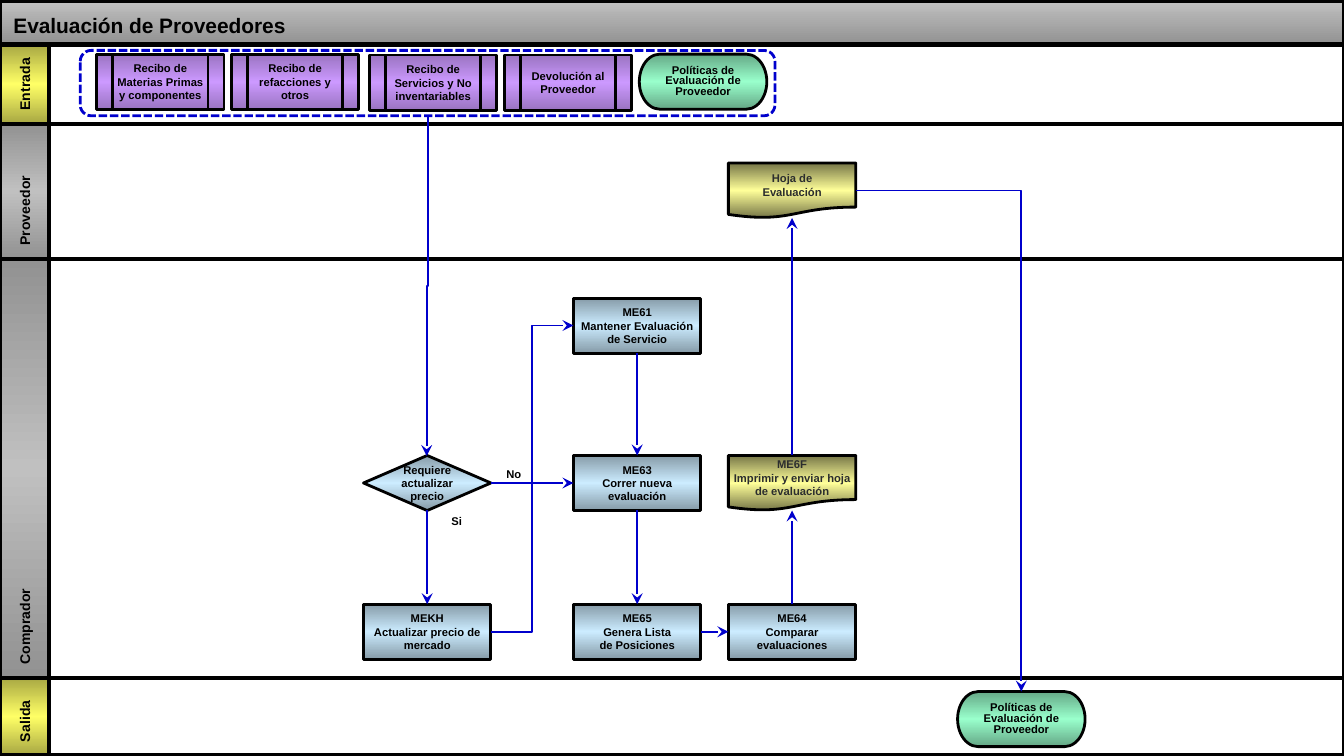
import copy

import pptx
import pptx.dml.color
import pptx.enum.dml
import pptx.enum.shapes
import pptx.enum.text
import pptx.oxml.ns
import pptx.oxml.xmlchemy
import pptx.util
from lxml import etree

Pt = pptx.util.Pt
qn = pptx.oxml.ns.qn
KIND = pptx.enum.shapes.MSO_SHAPE
LINK = pptx.enum.shapes.MSO_CONNECTOR
ALIGN = pptx.enum.text.PP_ALIGN
ANCHOR = pptx.enum.text.MSO_ANCHOR
FIT = pptx.enum.text.MSO_AUTO_SIZE

COLORS = {
    "page": "F2F2F2", "white": "FFFFFF", "black": "000000",
    "flow": "0000CC", "document_text": "2B2D2E",
}
RAMPS = {
    "title": ("C0C0C0", "929292"),
    "gray": ("929292", "C0C0C0", "929292"),
    "yellow": ("A8A843", "FFFF66", "A8A843"),
    "step": ("869BA8", "CCECFF", "869BA8"),
    "document": ("767647", "FFFF99", "767647"),
    "process": ("9A74C1", "CC99FF", "9A74C1"),
    "policy": ("65A886", "99FFCC", "65A886"),
}
WIDTH, HEIGHT = 720, 405
LABEL_WIDTH = 26.3
STEP_WIDTH, STEP_HEIGHT = 68.3, 29.5
POLICY = "Políticas de Evaluación de Proveedor"


def rgb(name):
    return pptx.dml.color.RGBColor.from_string(COLORS.get(name, name))


def fill_ramp(shape, stops):
    """Vertical gradient with evenly spaced stops."""
    shape.fill.gradient()
    shape.fill.gradient_angle = 270
    stop_list = shape.fill.gradient_stops
    if len(stops) == 3:
        first = shape.element.spPr.find(".//" + qn("a:gs"))
        first.addnext(copy.deepcopy(first))
        stop_list = shape.fill.gradient_stops
    for i, (stop, color) in enumerate(zip(stop_list, stops)):
        stop.color.rgb = rgb(color)
        stop.position = i / (len(stops) - 1)


def add_block(slide, box, kind=KIND.RECTANGLE, ramp=None, line="black", weight=2):
    block = slide.shapes.add_shape(kind, *map(Pt, box))
    block.shadow.inherit = False
    if ramp:
        fill_ramp(block, RAMPS[ramp])
    block.line.color.rgb = rgb(line)
    block.line.width = Pt(weight)
    return block


def write(frame, lines, size=6, color="black", align=ALIGN.CENTER, spacing=None):
    for i, line in enumerate(lines):
        paragraph = frame.paragraphs[0] if i == 0 else frame.add_paragraph()
        paragraph.alignment = align
        if spacing:
            paragraph.line_spacing = spacing
        run = paragraph.add_run()
        run.text = line
        run.font.name = "Arial"
        run.font.size = Pt(size)
        run.font.bold = True
        run.font.color.rgb = rgb(color)


def set_margins(frame, margin):
    frame.margin_left = frame.margin_right = Pt(margin)
    frame.margin_top = frame.margin_bottom = Pt(margin)


def add_step(slide, left, top, lines, kind=KIND.RECTANGLE, ramp="step",
             color="black", margin=0.7, spacing=None):
    step = add_block(slide, (left, top, STEP_WIDTH, STEP_HEIGHT), kind, ramp, weight=1.5)
    frame = step.text_frame
    frame.word_wrap = True
    frame.vertical_anchor = ANCHOR.MIDDLE
    set_margins(frame, margin)
    write(frame, lines, color=color, spacing=spacing)
    return step


def add_document(slide, left, top, lines):
    return add_step(slide, left, top, lines, KIND.FLOWCHART_DOCUMENT, "document",
                    "document_text", 1.4)


def add_policy(slide, left, top):
    return add_step(slide, left, top, [POLICY], KIND.FLOWCHART_TERMINATOR, "policy",
                    spacing=0.8)


def add_answer(slide, left, top, text):
    answer = slide.shapes.add_textbox(*map(Pt, (left, top, 8, 7.2))).text_frame
    answer.word_wrap = False
    answer.auto_size = FIT.SHAPE_TO_FIT_TEXT
    set_margins(answer, 0)
    write(answer, [text])


def side(shape, name):
    """Middle of one edge of a shape."""
    x, y = shape.left + shape.width // 2, shape.top + shape.height // 2
    return {"top": (x, shape.top), "bottom": (x, shape.top + shape.height),
            "left": (shape.left, y), "right": (shape.left + shape.width, y)}[name]


def add_flow(slide, start, end, kind=LINK.STRAIGHT):
    flow = slide.shapes.add_connector(kind, *start, *end)
    flow.line.color.rgb = rgb("flow")
    flow.line.width = Pt(1)
    properties = flow.element.spPr
    etree.SubElement(properties.find(qn("a:ln")), qn("a:tailEnd"), type="stealth")
    etree.SubElement(properties, qn("a:effectLst"))
    return flow


def title_bar(slide, box):
    add_block(slide, box, ramp="title")
    title = slide.shapes.title
    left, top, width, height = box
    title.left, title.top, title.width, title.height = map(Pt, (left, 0, width, top + height))
    slide.shapes.element.append(title.element)  # bring in front of the bar
    title.text_frame.auto_size = FIT.NONE
    title.text_frame.vertical_anchor = ANCHOR.BOTTOM
    write(title.text_frame, ["Evaluación de Proveedores"], 11.2, align=ALIGN.LEFT)


def lane(slide, box, name, ramp):
    left, top, width, height = box
    body = add_block(slide, box)
    body.fill.solid()
    body.fill.fore_color.rgb = rgb("white")
    label = add_block(slide, (left, top, LABEL_WIDTH, height), ramp=ramp)
    frame = label.text_frame
    frame.word_wrap = False
    frame.vertical_anchor = ANCHOR.MIDDLE
    frame._txBody.bodyPr.set("vert", "vert270")
    write(frame, [name], 7.5, align=ALIGN.LEFT)


def input_lane(slide, box):
    left, top = box[:2]
    lane(slide, box, "Entrada", "yellow")
    processes = [
        (51.7, 5.1, ["Recibo de Materias Primas y componentes"]),
        (123.9, 5.1, ["Recibo de refacciones y otros"]),
        (197.9, 5.5, ["Recibo de Servicios y No inventariables"]),
        (270.2, 5.5, ["Devolución al", "Proveedor"]),
    ]
    for x, y, lines in processes:
        add_step(slide, left + x, top + y, lines, KIND.FLOWCHART_PREDEFINED_PROCESS, "process")
    add_policy(slide, left + 342.5, top + 5)
    group = add_block(slide, (left + 43, top + 3, 372.2, 35),
                      KIND.FLOWCHART_ALTERNATE_PROCESS, line="flow", weight=1.5)
    group.fill.background()
    group.line.dash_style = pptx.enum.dml.MSO_LINE.SQUARE_DOT
    return group


def supplier_lane(slide, box):
    left, top = box[:2]
    lane(slide, box, "Proveedor", "gray")
    return add_document(slide, left + 390.2, top + 21, ["Hoja de", "Evaluación"])


def buyer_lane(slide, box):
    left, top = box[:2]
    lane(slide, box, "Comprador", "gray")
    decide_x, evaluate_x, report_x = (left + x for x in (194.7, 307.2, 390.2))
    upper, middle, lower = (top + y for y in (21, 105.3, 185))
    decision = add_step(slide, decide_x, middle, ["Requiere actualizar precio"],
                        KIND.DIAMOND, margin=0)
    price = add_step(slide, decide_x, lower, ["MEKH", "Actualizar precio de mercado"])
    maintain = add_step(slide, evaluate_x, upper, ["ME61", "Mantener Evaluación de Servicio"])
    evaluate = add_step(slide, evaluate_x, middle, ["ME63", "Correr nueva evaluación"])
    positions = add_step(slide, evaluate_x, lower, ["ME65", "Genera Lista", "de Posiciones"])
    compare = add_step(slide, report_x, lower, ["ME64", "Comparar evaluaciones"])
    report = add_document(slide, report_x, middle,
                          ["ME6F", "Imprimir y enviar hoja de evaluación"])
    add_answer(slide, left + 271.3, top + 111.8, "No")
    add_answer(slide, left + 240.7, top + 137, "Si")
    for source, out, target, into in [
        (decision, "bottom", price, "top"), (decision, "right", evaluate, "left"),
        (maintain, "bottom", evaluate, "top"), (evaluate, "bottom", positions, "top"),
        (positions, "right", compare, "left"), (compare, "top", report, "bottom"),
    ]:
        add_flow(slide, side(source, out), side(target, into))
    add_flow(slide, side(price, "right"), side(maintain, "left"), LINK.ELBOW)
    return decision, report


def output_lane(slide, box):
    lane(slide, box, "Salida", "yellow")
    return add_policy(slide, box[0] + 513, box[1] + 7.3)


def cross_lane_flows(slide, inputs, decision, report, sheet, policy):
    # Inputs to decision: a nearly straight elbow, turned to run downwards
    x, end = side(decision, "top")
    start = inputs.top + inputs.height
    middle, half = (start + end) // 2, (end - start) // 2
    entry = add_flow(slide, (x - half, middle), (x + half, middle + Pt(0.5)), LINK.ELBOW)
    entry.element.spPr.find(qn("a:xfrm")).set("rot", str(90 * 60000))
    # Report to supplier, then evaluation sheet to output policy
    add_flow(slide, side(report, "top"), side(sheet, "bottom"))
    delivery = add_flow(slide, side(sheet, "right"), side(policy, "top"), LINK.ELBOW)
    delivery.element.spPr.find(qn("a:prstGeom")).set("prst", "bentConnector2")


def main():
    deck = pptx.Presentation()
    deck.slide_width, deck.slide_height = Pt(WIDTH), Pt(HEIGHT)
    slide = deck.slides.add_slide(deck.slide_layouts[5])
    slide.background.fill.solid()
    slide.background.fill.fore_color.rgb = rgb("page")

    # Lanes from top to bottom
    edges = [24, 66.3, 138.7, 363.2, 404.6]
    boxes = [(0, top, WIDTH, bottom - top) for top, bottom in zip(edges, edges[1:])]
    inputs = input_lane(slide, boxes[0])
    sheet = supplier_lane(slide, boxes[1])
    decision, report = buyer_lane(slide, boxes[2])
    policy = output_lane(slide, boxes[3])
    cross_lane_flows(slide, inputs, decision, report, sheet, policy)
    title_bar(slide, (0, 0.7, WIDTH, 23))

    deck.save("out.pptx")


if __name__ == "__main__":
    main()
